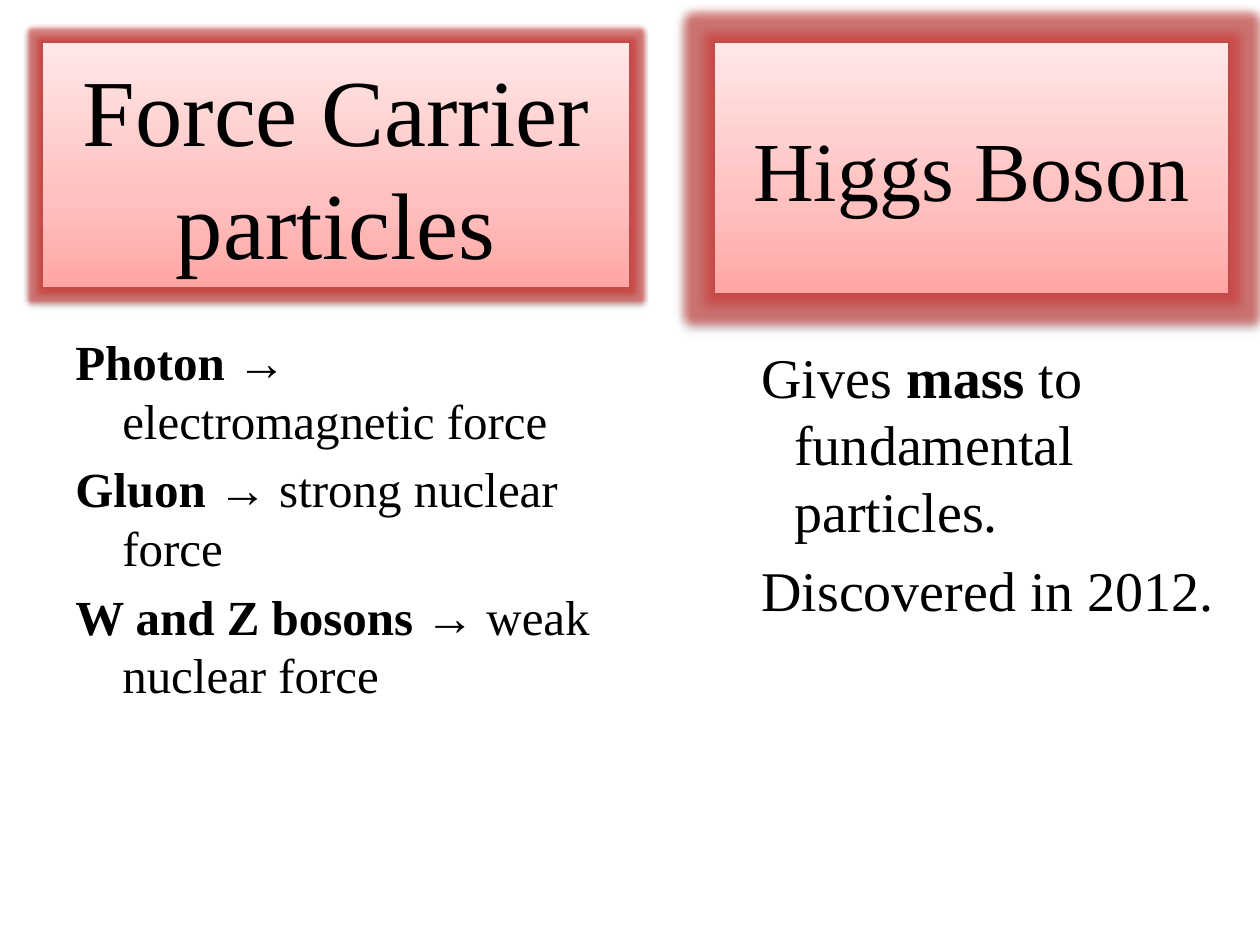
from lxml import etree
from pptx import Presentation, util as u
from pptx.dml.color import RGBColor
from pptx.enum import shapes, text
from pptx.oxml.ns import qn

PX = 914400 / 126
FONT = "Times New Roman"
BLACK = RGBColor(0, 0, 0)
BORDER = RGBColor(0xBF, 0x4C, 0x48)
GLOW = RGBColor(0xD0, 0x3C, 0x38)
STOPS = [
    (0, RGBColor(0xFF, 0xA6, 0xA5)),
    (35, RGBColor(0xFF, 0xC0, 0xBF)),
    (100, RGBColor(0xFF, 0xE7, 0xE7)),
]


def add_span(para, words, size, bold=False):
    span = para.add_run()
    span.text = words
    span.font.name = FONT
    span.font.size = u.Pt(size)
    span.font.bold = bold
    span.font.color.rgb = BLACK


def add_color(parent, color, alpha=100):
    node = etree.SubElement(parent, qn("a:srgbClr"), val=str(color))
    if alpha < 100:
        etree.SubElement(node, qn("a:alpha"), val=str(alpha * 1000))


deck = Presentation()
deck.slide_width = u.Emu(round(1260 * PX))
deck.slide_height = u.Emu(round(945 * PX))
page = deck.slides.add_slide(deck.slide_layouts[6])

# Lists: place in px, text size, paragraphs of (words, bold)
lists = [
    ((63, 325, 557, 519), 28, [
        [("Photon ", True), ("→ electromagnetic force", False)],
        [("Gluon ", True), ("→ strong nuclear force", False)],
        [("W and Z bosons ", True), ("→ weak nuclear force", False)],
    ]),
    ((735, 336, 494, 508), 32, [
        [(" Gives ", False), ("mass", True), (" to fundamental particles.", False)],
        [(" Discovered in 2012.", False)],
    ]),
]
for place, size, paragraphs in lists:
    box = page.shapes.add_textbox(*[u.Emu(round(n * PX)) for n in place])
    frame = box.text_frame
    frame.word_wrap = True
    for i, spans in enumerate(paragraphs):
        para = frame.add_paragraph() if i else frame.paragraphs[0]
        props = para._p.get_or_add_pPr()
        props.set("marL", str(round(47 * PX)))
        props.set("indent", str(round(-47 * PX)))
        if i:
            para.space_before = u.Pt(size * 0.2)
        for words, bold in spans:
            add_span(para, words, size, bold)

# Headings: place in px, text size, words, glow radius in points
headings = [
    ((42, 42, 588, 246), 54, "Force Carrier particles", 5),
    ((714, 42, 515, 252), 48, "Higgs Boson", 11),
]
for place, size, words, radius in headings:
    box = page.shapes.add_shape(
        shapes.MSO_SHAPE.RECTANGLE, *[u.Emu(round(n * PX)) for n in place])
    box.fill.gradient()
    box.fill.gradient_angle = 90
    box.line.color.rgb = BORDER
    box.line.width = u.Pt(0.75)
    box.shadow.inherit = False

    props = box._element.spPr
    stop_list = props.find(".//" + qn("a:gsLst"))
    for stop in list(stop_list):
        stop_list.remove(stop)
    for position, color in STOPS:
        stop = etree.SubElement(stop_list, qn("a:gs"), pos=str(position * 1000))
        add_color(stop, color)

    effects = props.find(qn("a:effectLst"))
    glow = etree.SubElement(effects, qn("a:glow"), rad=str(u.Pt(radius)))
    add_color(glow, GLOW, 60)
    shadow = etree.SubElement(
        effects, qn("a:outerShdw"), blurRad="40000", dist="20000",
        dir="5400000", rotWithShape="0")
    add_color(shadow, BLACK, 38)

    frame = box.text_frame
    frame.word_wrap = True
    frame.vertical_anchor = text.MSO_ANCHOR.MIDDLE
    para = frame.paragraphs[0]
    para.alignment = text.PP_ALIGN.CENTER
    add_span(para, words, size)

deck.save("out.pptx")
